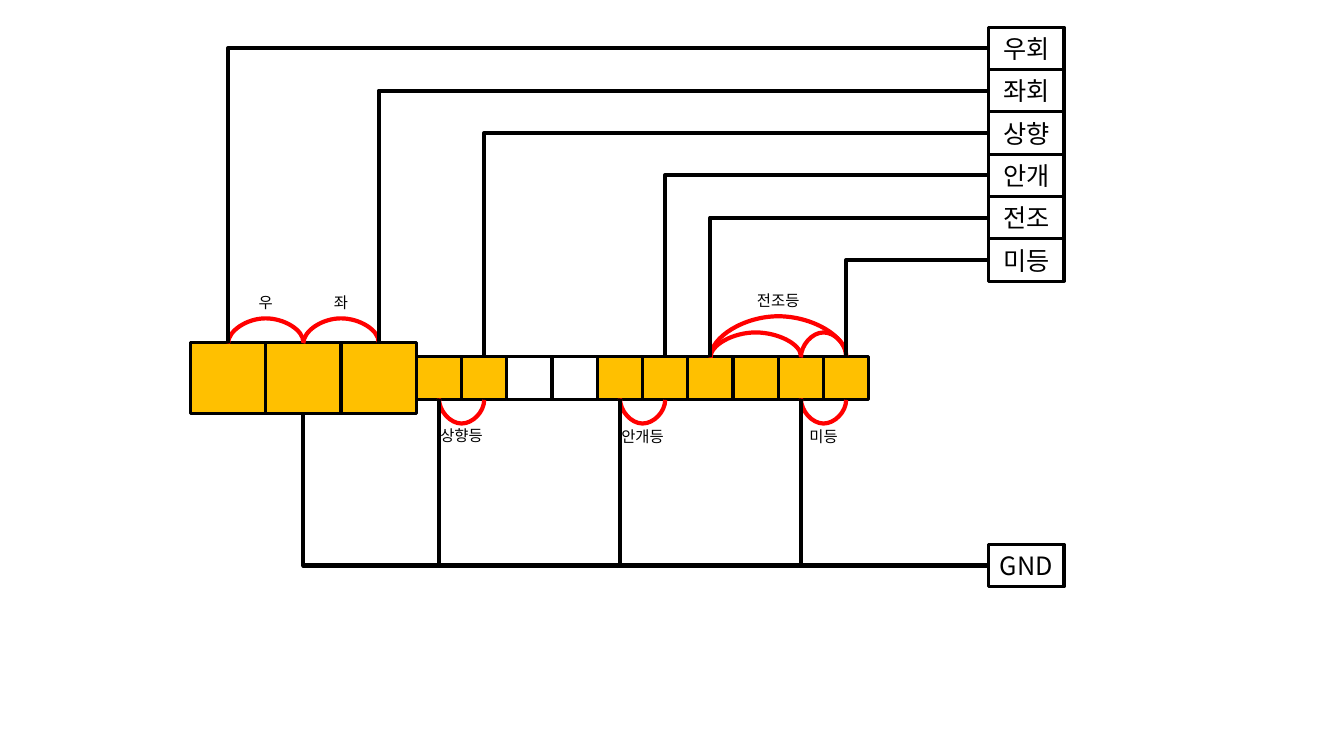
from lxml import etree
from pptx import Presentation
from pptx.dml.color import RGBColor
from pptx.enum.shapes import MSO_CONNECTOR, MSO_SHAPE
from pptx.enum.text import MSO_ANCHOR, MSO_AUTO_SIZE, PP_ALIGN
from pptx.oxml.ns import qn
from pptx.util import Pt

RECTANGLE = MSO_SHAPE.RECTANGLE
ELBOW, CURVE = MSO_CONNECTOR.ELBOW, MSO_CONNECTOR.CURVE
CENTER, MIDDLE = PP_ALIGN.CENTER, MSO_ANCHOR.MIDDLE
FIT_SHAPE = MSO_AUTO_SIZE.SHAPE_TO_FIT_TEXT

AMBER = RGBColor(0xFF, 0xC0, 0x00)
BLACK = RGBColor(0x00, 0x00, 0x00)
RED = RGBColor(0xFF, 0x00, 0x00)
FONT = "Noto Sans CJK KR"

TOP, LEFT, BOTTOM = 0, 1, 2
ABOVE, BELOW = 1, -1

BLOCK_LEFT, BLOCK_MIDDLE = 136, 270
BIG_WIDTH, BIG_HEIGHT, BIG_COUNT = 53.8, 50.4, 3
SMALL_WIDTH, SMALL_HEIGHT, SMALL_COUNT = 32.32, 30.3, 10
EMPTY_BLOCKS = (5, 6)
TERMINAL_LEFT, TERMINAL_TOP, GROUND_TOP = 706.3, 19.4, 388.8
TERMINAL_WIDTH, TERMINAL_HEIGHT = 53.8, 30.24

TERMINALS = [("우회", 0), ("좌회", 2), ("상향", 4), ("안개", 8), ("전조", 9), ("미등", 12)]
GROUND_BLOCKS = (1, 3, 7, 11)
ARCS = [
    (1, 2, ABOVE, 18),
    (0, 1, ABOVE, 18),
    (3, 4, BELOW, 18),
    (7, 8, BELOW, 18),
    (11, 12, ABOVE, 18),
    (11, 12, BELOW, 18),
    (9, 11, ABOVE, 18),
    (9, 12, ABOVE, 29.66),
]
LABELS = [
    ("좌", 1, 2, 206),
    ("우", 0, 1, 206),
    ("상향등", 3, 4, 301),
    ("미등", 11, 12, 301.7),
    ("전조등", 9, 12, 204.5),
    ("안개등", 7, 8, 301.7),
]


def write_text(frame, text, size):
    frame.text = text
    paragraph = frame.paragraphs[0]
    paragraph.alignment = CENTER
    font = paragraph.font
    font.size = Pt(size)
    font.name = FONT
    font.color.rgb = BLACK
    etree.SubElement(font._rPr, qn("a:ea")).set("typeface", FONT)


def add_box(slide, left, top, width, height, fill=None, text=None):
    shape = slide.shapes.add_shape(RECTANGLE, Pt(left), Pt(top), Pt(width), Pt(height))
    shape.shadow.inherit = False
    shape.line.color.rgb = BLACK
    shape.line.width = Pt(2.25)
    if fill is None:
        shape.fill.background()
    else:
        shape.fill.solid()
        shape.fill.fore_color.rgb = fill
    if text:
        shape.text_frame.vertical_anchor = MIDDLE
        write_text(shape.text_frame, text, 18)
    return shape


def add_terminal(slide, top, text):
    return add_box(slide, TERMINAL_LEFT, top, TERMINAL_WIDTH, TERMINAL_HEIGHT, text=text)


def add_line(slide, kind, begin, end, color):
    points = [Pt(value) for value in (*begin, *end)]
    connector = slide.shapes.add_connector(kind, *points)
    connector.line.color.rgb = color
    connector.line.width = Pt(3)
    etree.SubElement(connector._element.spPr, qn("a:effectLst"))
    return connector


def add_wire(slide, terminal, block, side):
    wire = add_line(slide, ELBOW, (0, 0), (0, 0), BLACK)
    wire._element.spPr.find(qn("a:prstGeom")).set("prst", "bentConnector2")
    wire.begin_connect(terminal, LEFT)
    wire.end_connect(block, side)


def center_x(shape):
    return (shape.left + shape.width / 2) / Pt(1)


def add_arc(slide, first, last, side, height):
    start, stop = center_x(first), center_x(last)
    middle, half = (start + stop) / 2, (stop - start) / 2
    edge = first.top if side == ABOVE else first.top + first.height
    y = edge / Pt(1)
    arc = add_line(slide, CURVE, (middle + 0.5, y + side * half),
                   (middle - 0.5, y - side * half), RED)
    properties = arc._element.spPr
    properties.find(qn("a:xfrm")).set("rot", str(side * 90 % 360 * 60000))
    adjustments = properties.find(qn("a:prstGeom")).find(qn("a:avLst"))
    guide = etree.SubElement(adjustments, qn("a:gd"))
    guide.set("name", "adj1")
    guide.set("fmla", f"val {round(height * 100000)}")


def add_label(slide, text, first, last, top):
    width = 15.1 + 10.8 * len(text)
    left = (center_x(first) + center_x(last) - width) / 2
    label = slide.shapes.add_textbox(Pt(left), Pt(top), Pt(width), Pt(20.6))
    label.text_frame.word_wrap = False
    label.text_frame.auto_size = FIT_SHAPE
    write_text(label.text_frame, text, 11)


def add_blocks(slide):
    sizes = [(BIG_WIDTH, BIG_HEIGHT)] * BIG_COUNT + [(SMALL_WIDTH, SMALL_HEIGHT)] * SMALL_COUNT
    blocks = []
    left = BLOCK_LEFT
    for index, (width, height) in enumerate(sizes):
        fill = None if index in EMPTY_BLOCKS else AMBER
        blocks.append(add_box(slide, left, BLOCK_MIDDLE - height / 2, width, height, fill))
        left += width
    return blocks


def main():
    presentation = Presentation()
    presentation.slide_width, presentation.slide_height = Pt(960), Pt(540)
    slide = presentation.slides.add_slide(presentation.slide_layouts[6])

    blocks = add_blocks(slide)
    for first, last, side, height in ARCS:
        add_arc(slide, blocks[first], blocks[last], side, height)
    for text, first, last, top in LABELS:
        add_label(slide, text, blocks[first], blocks[last], top)

    ground = add_terminal(slide, GROUND_TOP, "GND")
    for index in GROUND_BLOCKS:
        add_wire(slide, ground, blocks[index], BOTTOM)
    for row, (text, index) in enumerate(TERMINALS):
        terminal = add_terminal(slide, TERMINAL_TOP + row * TERMINAL_HEIGHT, text)
        add_wire(slide, terminal, blocks[index], TOP)

    presentation.save("out.pptx")


main()
